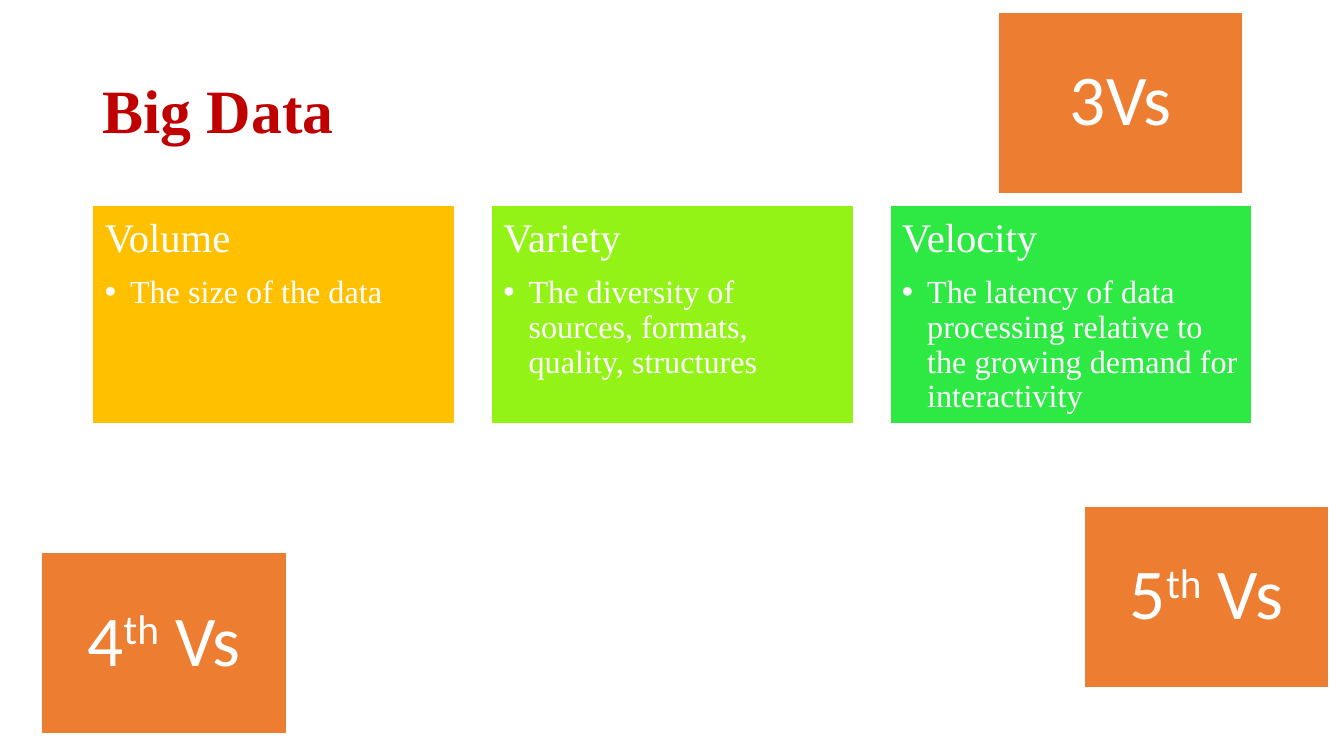
from lxml import etree
from pptx import Presentation
from pptx import util as u
from pptx.dml.color import RGBColor
from pptx.enum import shapes, text
from pptx.oxml.ns import qn

WIDTH, HEIGHT = u.Inches(13.33), u.Inches(7.5)
SERIF, SANS = "Times New Roman", "Calibri"
WHITE, ORANGE, RED = "FFFFFF", "ED7D31", "C00000"
CARDS = [
    ("Volume", "The size of the data", "FFC000"),
    ("Variety", "The diversity of sources, formats, quality, structures", "93F316"),
    ("Velocity", "The latency of data processing relative to the growing demand "
                 "for interactivity", "2EE844"),
]
TILE_SIZE = (18.23, 24)
TILES = [
    ((74.27, 1.6), [("3Vs", 0)]),
    ((3.08, 73.07), [("4", 0), ("th", 30), (" Vs", 0)]),
    ((80.65, 66.93), [("5", 0), ("th", 30), (" Vs", 0)]),
]


def color(target, value):
    """Set a colour format from a hex string."""
    target.rgb = RGBColor.from_string(value)


def place(left, top, width, height):
    """Turn percentages of the slide into lengths."""
    return (int(WIDTH * left / 100), int(HEIGHT * top / 100),
            int(WIDTH * width / 100), int(HEIGHT * height / 100))


def set_frame(shape, side, end, anchor):
    """Set the insets, wrapping and anchor of a shape's text and return its frame."""
    frame = shape.text_frame
    frame.word_wrap = True
    frame.vertical_anchor = anchor
    frame.margin_left = frame.margin_right = u.Inches(side)
    frame.margin_top = frame.margin_bottom = u.Inches(end)
    return frame


def add_panel(page, box, fill):
    """Draw a filled rectangle with a thin white outline."""
    panel = page.shapes.add_shape(shapes.MSO_SHAPE.RECTANGLE, *place(*box))
    panel.shadow.inherit = False
    panel.fill.solid()
    color(panel.fill.fore_color, fill)
    panel.line.width = u.Pt(1)
    color(panel.line.color, WHITE)
    return panel


def add_bullet(para):
    """Give a paragraph a hanging white bullet."""
    props = para._p.get_or_add_pPr()
    indent = u.Inches(0.25)
    props.set("marL", str(indent))
    props.set("indent", str(-indent))
    tint = etree.SubElement(props, qn("a:buClr"))
    etree.SubElement(tint, qn("a:srgbClr")).set("val", WHITE)
    etree.SubElement(props, qn("a:buFont")).set("typeface", "Arial")
    etree.SubElement(props, qn("a:buChar")).set("char", "•")


def write(para, words, size, font=SERIF, fill=WHITE, bold=False, raised=0,
          align=text.PP_ALIGN.LEFT):
    """Add a formatted span to a paragraph."""
    para.alignment = align
    para.line_spacing = 0.9
    span = para.add_run()
    span.text = words
    span.font.size = u.Pt(size)
    span.font.name = font
    span.font.bold = bold
    color(span.font.color, fill)
    if raised:
        span._r.get_or_add_rPr().set("baseline", str(raised * 1000))


def add_title(page, box, words):
    """Write the slide title."""
    title = page.shapes.add_textbox(*place(*box))
    frame = set_frame(title, 0.1, 0.05, text.MSO_ANCHOR.MIDDLE)
    write(frame.paragraphs[0], words, 44, fill=RED, bold=True)


def add_cards(page, box, cards):
    """Spread the cards over a box with gaps of a tenth of a card."""
    left, top, width, height = box
    card_width = width / (len(cards) + 0.1 * (len(cards) - 1))
    for column, (heading, detail, fill) in enumerate(cards):
        start = left + column * card_width * 1.1
        card = add_panel(page, (start, top, card_width, height), fill)
        frame = set_frame(card, 0.12, 0.12, text.MSO_ANCHOR.TOP)
        write(frame.paragraphs[0], heading, 29)
        para = frame.add_paragraph()
        add_bullet(para)
        para.level = 1
        para.space_before = u.Pt(10.2)
        write(para, detail, 23)


def add_tile(page, box, spans):
    """Draw an orange tile with a large centred label."""
    tile = add_panel(page, box, ORANGE)
    frame = set_frame(tile, 0.21, 0.21, text.MSO_ANCHOR.MIDDLE)
    for words, raised in spans:
        write(frame.paragraphs[0], words, 51, font=SANS, raised=raised,
              align=text.PP_ALIGN.CENTER)


def main():
    """Build the slide and save it."""
    deck = Presentation()
    deck.slide_width, deck.slide_height = WIDTH, HEIGHT
    page = deck.slides.add_slide(deck.slide_layouts[6])
    add_title(page, (6.9, 5.33, 86.27, 19.33), "Big Data")
    add_cards(page, (6.9, 27.2, 86.27, 28.8), CARDS)
    for corner, spans in TILES:
        add_tile(page, corner + TILE_SIZE, spans)
    deck.save("out.pptx")


if __name__ == "__main__":
    main()
